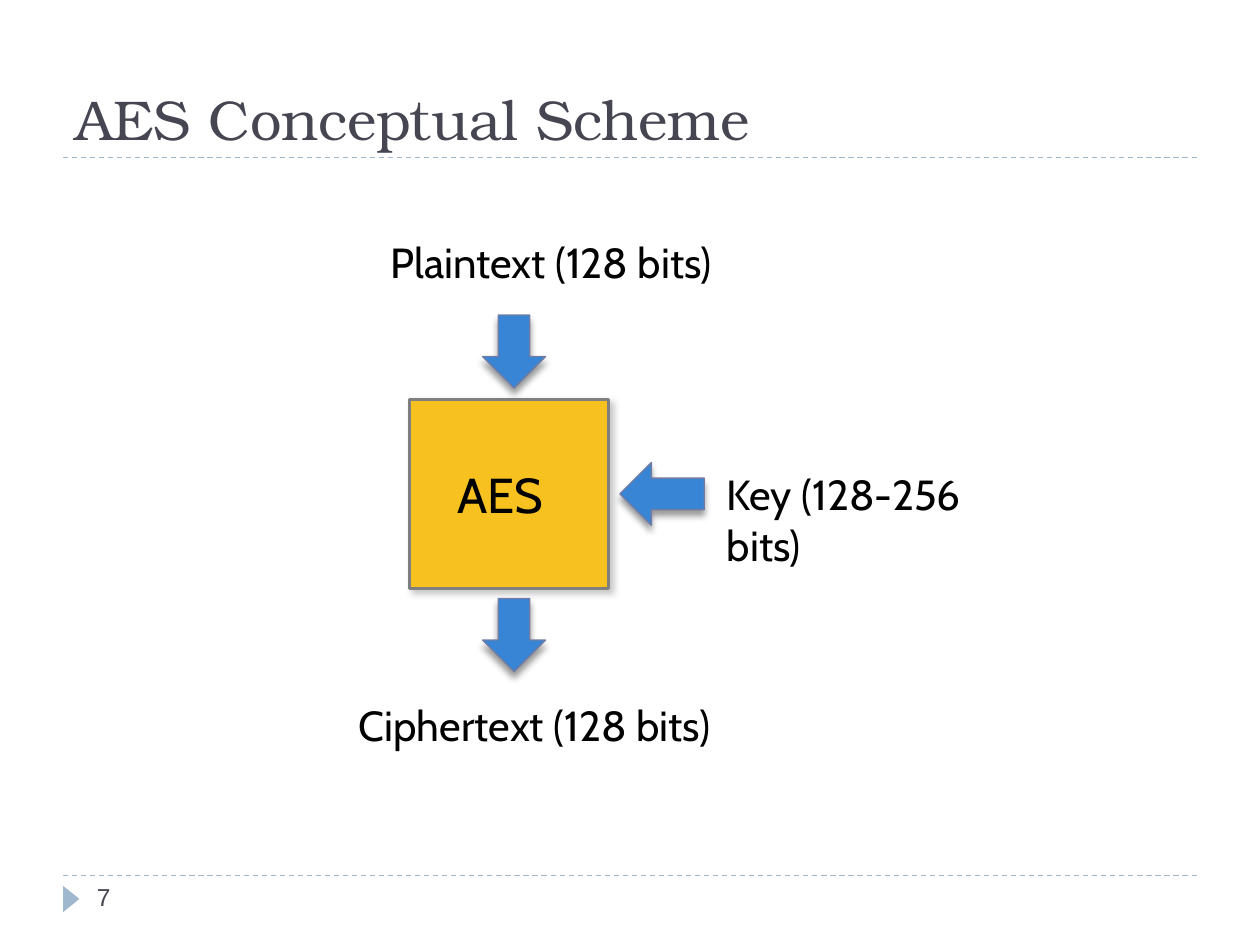
from lxml import etree
from pptx import Presentation
from pptx.dml.color import RGBColor
from pptx.enum.dml import MSO_LINE
from pptx.enum.shapes import MSO_CONNECTOR, MSO_SHAPE
from pptx.enum.text import MSO_ANCHOR, PP_ALIGN
from pptx.oxml import parse_xml
from pptx.oxml.ns import nsdecls, qn
from pptx.util import Inches, Pt

COLORS = {
    "title": "464653", "rule": "9FB8CD", "text": "000000",
    "box": "F7C120", "box_line": "7F7F7F", "box_shadow": "808080",
    "arrow": "3885D6", "arrow_line": "727CA3", "arrow_shadow": "000000",
}
TITLE = "AES Conceptual Scheme"
PAGE = "7"
RULES = [6.95, 1.25]
LABELS = [
    ("Plaintext (128 bits)", 3, 1.83, 2.78),
    ("Ciphertext (128 bits)", 2.75, 5.5, 3.1),
    ("Key (128-256 bits)", 5.67, 3.67, 2.71),
]
ARROWS = [
    (MSO_SHAPE.DOWN_ARROW, 3.83, 2.5, 0.5, 0.58),
    (MSO_SHAPE.DOWN_ARROW, 3.83, 4.75, 0.5, 0.58),
    (MSO_SHAPE.LEFT_ARROW, 4.92, 3.67, 0.67, 0.5),
]


def rgb(name):
    return RGBColor.from_string(COLORS[name])


def write(sp, text, size, font, color, wrap=True, anchor=MSO_ANCHOR.TOP):
    tf = sp.text_frame
    tf.text = text
    tf.word_wrap = wrap
    tf.vertical_anchor = anchor
    p = tf.paragraphs[0]
    p.alignment = PP_ALIGN.LEFT
    f = p.runs[0].font
    f.size, f.name, f.color.rgb = Pt(size), font, rgb(color)


def add_text(s, box, *style, **options):
    sp = s.shapes.add_textbox(*map(Inches, box))
    write(sp, *style, **options)


def add_shape(s, kind, box, fill, line=None, width=0.75):
    sp = s.shapes.add_shape(kind, *map(Inches, box))
    sp.shadow.inherit = False
    sp.fill.solid()
    sp.fill.fore_color.rgb = rgb(fill)
    if line:
        sp.line.color.rgb = rgb(line)
        sp.line.width = Pt(width)
    else:
        sp.line.fill.background()
    return sp


def add_shadow(sp, color, alpha, blur, dist, angle):
    effects = sp._element.spPr.find(qn("a:effectLst"))
    effects.append(parse_xml(
        f'<a:outerShdw {nsdecls("a")} blurRad="{Pt(blur)}" dist="{Pt(dist)}" '
        f'dir="{angle * 60000}" algn="ctr" rotWithShape="0">'
        f'<a:srgbClr val="{COLORS[color]}"><a:alpha val="{alpha * 1000}"/>'
        '</a:srgbClr></a:outerShdw>'))


def add_rule(s, y):
    cn = s.shapes.add_connector(
        MSO_CONNECTOR.STRAIGHT, Inches(0.5), Inches(y), Inches(9.5), Inches(y))
    cn.line.color.rgb = rgb("rule")
    cn.line.width = Pt(0.75)
    cn.line.dash_style = MSO_LINE.DASH
    etree.SubElement(cn._element.spPr, qn("a:effectLst"))


def main():
    prs = Presentation()
    prs.slide_width, prs.slide_height = Inches(10), Inches(7.5)
    s = prs.slides.add_slide(prs.slide_layouts[6])

    for y in RULES:
        add_rule(s, y)
    marker = add_shape(
        s, MSO_SHAPE.ISOSCELES_TRIANGLE, (0.46, 7.07, 0.21, 0.13), "rule")
    marker.rotation = 90
    add_text(s, (0.5, 0.17, 9, 1.08), TITLE, 32, "TeX Gyre Bonum", "title",
             anchor=MSO_ANCHOR.BOTTOM)
    add_text(s, (0.67, 6.95, 2.17, 0.4), PAGE, 14, "Arial", "title")

    cipher = add_shape(
        s, MSO_SHAPE.RECTANGLE, (3.25, 3.17, 1.58, 1.5), "box", "box_line", 2)
    add_shadow(cipher, "box_shadow", 43, 4, 3, 45)
    write(cipher, "AES", 28, "Cabin", "text", anchor=MSO_ANCHOR.MIDDLE)
    cipher.text_frame.margin_left = Inches(0.38)

    for text, x, y, w in LABELS:
        add_text(s, (x, y, w, 0.51), text, 24, "Cabin", "text", wrap=False)
    for kind, *box in ARROWS:
        arrow = add_shape(s, kind, box, "arrow", "arrow_line")
        add_shadow(arrow, "arrow_shadow", 40, 4, 3.4, 90)

    prs.save("out.pptx")


if __name__ == "__main__":
    main()
